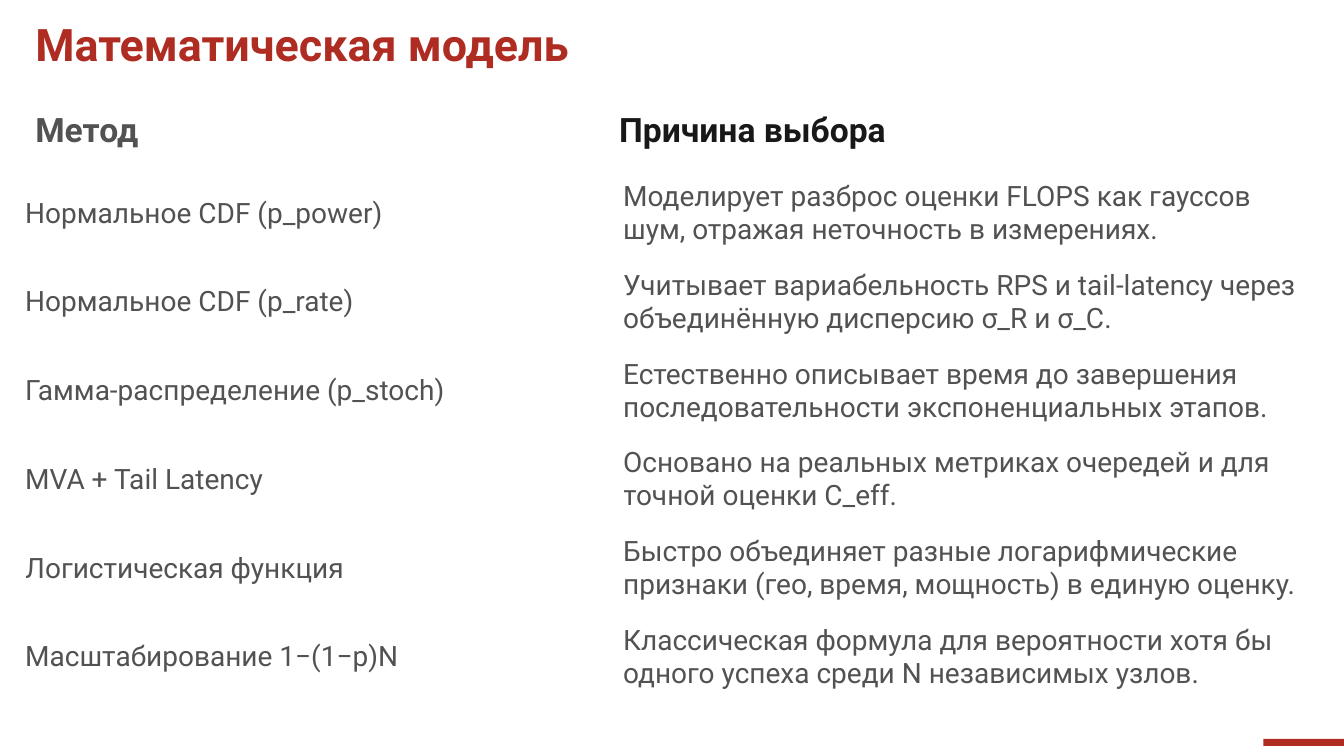
from pptx import Presentation
from pptx.dml.color import RGBColor
from pptx.enum import shapes, text
from pptx.util import Inches, Pt

RED = RGBColor(0xAF, 0x2C, 0x22)
GREY = RGBColor(0x52, 0x52, 0x52)
BLACK = RGBColor(0x18, 0x18, 0x18)
FONT = "Roboto"

# Content
TITLE = "Математическая модель"
HEADS = [  # placeholder index, text, left, width, colour
    (1, "Метод", 0.25, 5.62, GREY),
    (3, "Причина выбора", 6.04, 7.06, BLACK),
]
ROWS = [
    ("Нормальное CDF (p_power)",
     "Моделирует разброс оценки FLOPS как гауссов шум, отражая неточность в измерениях."),
    ("Нормальное CDF (p_rate)",
     "Учитывает вариабельность RPS и tail‑latency через объединённую дисперсию σ_R и σ_C."),
    ("Гамма‑распределение (p_stoch)",
     "Естественно описывает время до завершения последовательности экспоненциальных этапов."),
    ("MVA + Tail Latency",
     "Основано на реальных метриках очередей и для точной оценки C_eff."),
    ("Логистическая функция",
     "Быстро объединяет разные логарифмические признаки (гео, время, мощность) в единую оценку."),
    ("Масштабирование 1−(1−p)N",
     "Классическая формула для вероятности хотя бы одного успеха среди N независимых узлов."),
]
COLS = (5.93, 6.83)
ROW_H = 0.88


def style(par, size, color, bold=False):
    par.alignment = text.PP_ALIGN.LEFT
    for run in par.runs:
        font = run.font
        font.name, font.size, font.bold = FONT, Pt(size), bold
        font.color.rgb = color


def fill_holder(holder, words, box, size, color):
    holder.left, holder.top, holder.width, holder.height = map(Inches, box)
    frame = holder.text_frame
    frame.text = words
    frame.word_wrap = True
    frame.auto_size = text.MSO_AUTO_SIZE.NONE
    frame.vertical_anchor = text.MSO_ANCHOR.TOP
    par = frame.paragraphs[0]
    par.line_spacing = 0.9
    style(par, size, color, True)
    return par


def main():
    deck = Presentation()
    deck.slide_width, deck.slide_height = Inches(13.33), Inches(7.5)
    slide = deck.slides.add_slide(deck.slide_layouts.get_by_name("Comparison"))

    # Corner bar
    bar = slide.shapes.add_shape(
        shapes.MSO_SHAPE.RECTANGLE,
        Inches(12.53), Inches(7.33), Inches(0.8), Inches(0.07))
    bar.shadow.inherit = False
    bar.fill.solid()
    bar.fill.fore_color.rgb = RED
    bar.line.fill.background()

    # Title and column heads
    fill_holder(slide.shapes.title, TITLE, (0.25, 0.18, 11.22, 0.9), 32, RED)
    holders = {h.placeholder_format.idx: h for h in slide.placeholders}
    for idx, words, left, width, color in HEADS:
        par = fill_holder(holders[idx], words, (left, 1.08, width, 0.9), 24, color)
        par.space_before = Pt(10)

    # Unused placeholders
    for holder in holders.values():
        if not holder.text_frame.text:
            holder.element.getparent().remove(holder.element)

    # Table of methods
    table = slide.shapes.add_table(
        len(ROWS), len(COLS), Inches(0.25), Inches(1.68),
        Inches(sum(COLS)), Inches(ROW_H * len(ROWS))).table
    table.first_row = table.horz_banding = False
    for col, width in zip(table.columns, COLS):
        col.width = Inches(width)
    for row, words in zip(table.rows, ROWS):
        row.height = Inches(ROW_H)
        for cell, line in zip(row.cells, words):
            cell.fill.background()
            cell.vertical_anchor = text.MSO_ANCHOR.MIDDLE
            cell.margin_left = cell.margin_right = 0
            cell.margin_top = cell.margin_bottom = 0
            cell.text_frame.text = line
            style(cell.text_frame.paragraphs[0], 20, GREY)

    deck.save("out.pptx")


if __name__ == "__main__":
    main()
